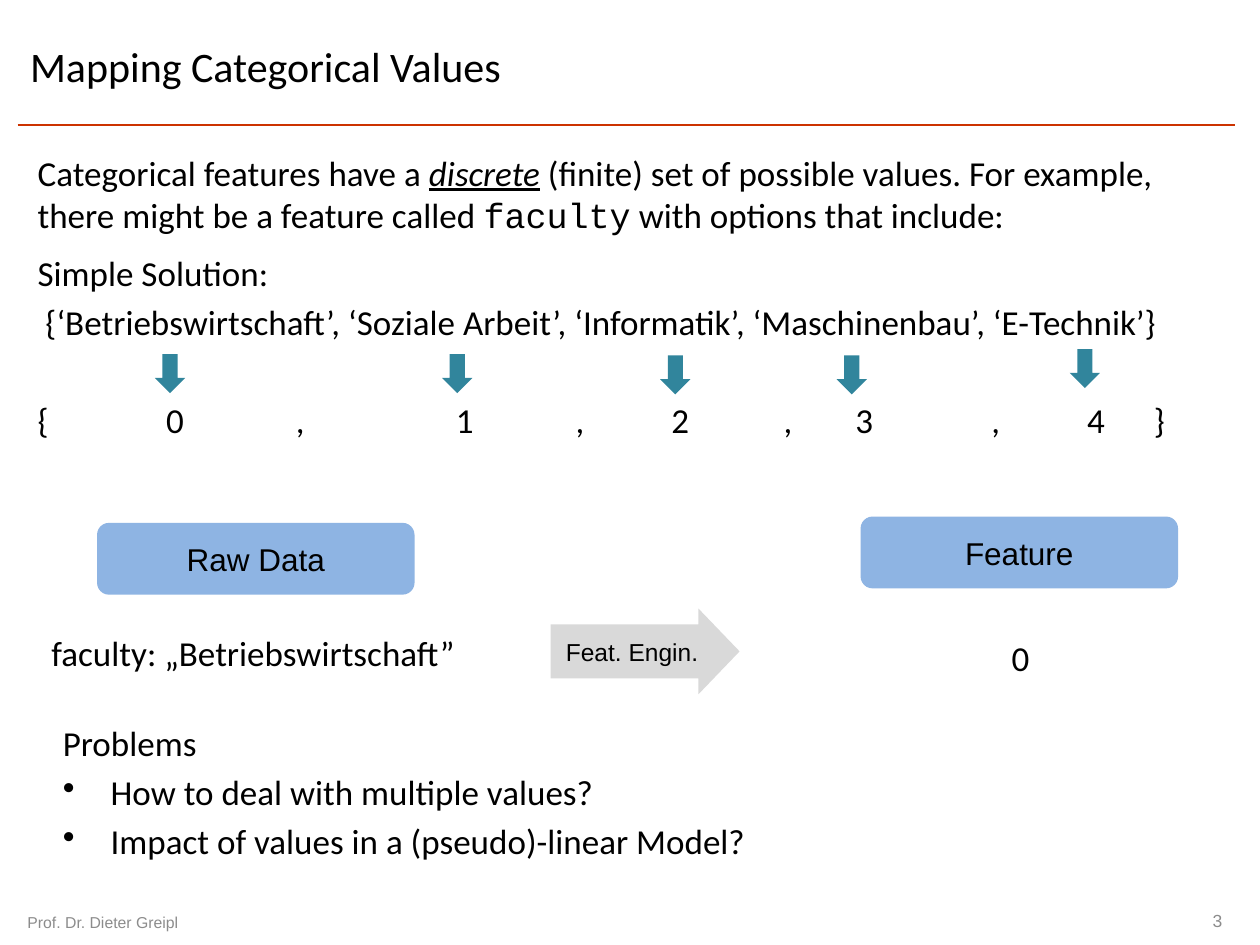
import collections

import lxml.etree
import pptx
import pptx.dml.color
import pptx.enum.shapes
import pptx.enum.text
import pptx.oxml.ns
import pptx.util

COLORS = {
    "text": "000000",
    "rule": "CC3300",
    "footer": "8C8C8C",
    "arrow": "31859C",
    "card": "8EB4E3",
    "process": "D9D9D9",
}
COLUMNS, ROWS = 100, 75
CELL = pptx.util.Inches(0.1)
SHAPES = pptx.enum.shapes.MSO_SHAPE
ALIGN = pptx.enum.text.PP_ALIGN
ANCHOR = pptx.enum.text.MSO_ANCHOR
Box = collections.namedtuple("Box", "left top width height")


def inside(box, left, top, width, height):
    return Box(box.left + left, box.top + top, width, height)


def lengths(box):
    return [round(value * CELL) for value in box]


def color(name):
    return pptx.dml.color.RGBColor.from_string(COLORS[name])


def add_xml(parent, tag, **attributes):
    return lxml.etree.SubElement(parent, pptx.oxml.ns.qn(tag), attributes)


def style(paragraph, size=20, font="Calibri", ink="text", align=ALIGN.LEFT):
    paragraph.alignment = align
    paragraph.font.size = pptx.util.Pt(size)
    paragraph.font.name = font
    paragraph.font.color.rgb = color(ink)


def add_text(slide, box, lines, anchor=ANCHOR.TOP, before=4, **look):
    frame = slide.shapes.add_textbox(*lengths(box)).text_frame
    frame.word_wrap = True
    frame.vertical_anchor = anchor
    for index, line in enumerate(lines):
        paragraph = frame.add_paragraph() if index else frame.paragraphs[0]
        paragraph.text = line
        paragraph.space_before = pptx.util.Pt(before)
        style(paragraph, **look)
    return frame


def add_block(slide, box, kind, fill, text="", size=18):
    shape = slide.shapes.add_shape(kind, *lengths(box))
    shape.shadow.inherit = False
    shape.fill.solid()
    shape.fill.fore_color.rgb = color(fill)
    shape.line.fill.background()
    if text:
        shape.text_frame.vertical_anchor = ANCHOR.MIDDLE
        paragraph = shape.text_frame.paragraphs[0]
        paragraph.text = text
        style(paragraph, size, "Arial", align=ALIGN.CENTER)
    return shape


def set_tabs(paragraph, stops):
    properties = paragraph._p.get_or_add_pPr()
    tabs = lxml.etree.Element(pptx.oxml.ns.qn("a:tabLst"))
    for stop in stops:
        add_xml(tabs, "a:tab", pos=str(round(stop * CELL)), algn="l")
    properties.find(pptx.oxml.ns.qn("a:defRPr")).addprevious(tabs)


def set_bullet(paragraph, indent):
    properties = paragraph._p.get_or_add_pPr()
    offset = round(indent * CELL)
    properties.set("marL", str(offset))
    properties.set("indent", str(-offset))
    bullet = lxml.etree.Element(pptx.oxml.ns.qn("a:buChar"), char="•")
    properties.find(pptx.oxml.ns.qn("a:defRPr")).addprevious(bullet)


def add_header(slide, box):
    bottom = box.top + box.height
    ends = lengths((box.left, bottom, box.left + box.width, bottom))
    rule = slide.shapes.add_connector(
        pptx.enum.shapes.MSO_CONNECTOR.STRAIGHT, *ends)
    rule.line.color.rgb = color("rule")
    rule.line.width = pptx.util.Pt(1)
    add_xml(rule._element.spPr, "a:effectLst")
    add_text(slide, box, ["Mapping Categorical Values"],
             ANCHOR.MIDDLE, before=0, size=24)


def add_footer(slide, box):
    look = dict(anchor=ANCHOR.MIDDLE, before=0, font="Arial", ink="footer")
    add_text(slide, inside(box, 0, 0, 23.6, 3.2),
             ["Prof. Dr. Dieter Greipl"], size=9, **look)
    add_text(slide, inside(box, box.width - 23.3, 0, 23.3, 3), ["3"],
             size=10, align=ALIGN.RIGHT, **look)


def add_introduction(slide, box):
    paragraph = add_text(slide, box, [""]).paragraphs[0]
    parts = [
        ("Categorical features have a ", {}),
        ("discrete", {"italic": True, "underline": True}),
        (" (finite) set of possible values. For example, "
         "there might be a feature called ", {}),
        ("faculty", {"name": "Courier New"}),
        (" with options that include:", {}),
    ]
    for text, changes in parts:
        run = paragraph.add_run()
        run.text = text
        for attribute, value in changes.items():
            setattr(run.font, attribute, value)


def add_mapping(slide, box):
    frame = add_text(slide, box, [
        "Simple Solution:",
        " {‘Betriebswirtschaft’, ‘Soziale Arbeit’, ‘Informatik’, "
        "‘Maschinenbau’, ‘E-Technik’}",
        "\t".join("{0,1,2,3,4}"),
    ])
    codes = frame.paragraphs[-1]
    codes.space_before = pptx.util.Pt(32)
    set_tabs(codes, [10.2, 20.5, 33.2, 42.7, 50.3, 59.2, 64.9, 75.7, 83.3, 88.6])
    for left, top in [(10.3, 8.6), (33.1, 8.6), (50.4, 8.7), (64.4, 8.7), (82.9, 8.2)]:
        add_block(slide, inside(box, left, top, 2.4, 3.1),
                  SHAPES.DOWN_ARROW, "arrow")


def add_example(slide, box):
    for left, top, label in [(4.6, 0.5, "Raw Data"), (65.2, 0, "Feature")]:
        add_block(slide, inside(box, left, top, 25.2, 5.7),
                  SHAPES.ROUNDED_RECTANGLE, "card", label)
    add_text(slide, inside(box, 0, 8.6, 39.4, 4.2),
             ["faculty: „Betriebswirtschaft”"])
    process = add_block(slide, inside(box, 40.6, 7.3, 15, 6.8),
                        SHAPES.RIGHT_ARROW, "process", "Feat. Engin.", 14)
    process.adjustments[0] = 0.63
    process.adjustments[1] = 0.48
    process.text_frame.word_wrap = False
    add_text(slide, inside(box, 76.2, 9, 3.3, 4.2), ["0"])


def add_problems(slide, box):
    frame = add_text(slide, box, [
        "Problems",
        "How to deal with multiple values?",
        "Impact of values in a (pseudo)-linear Model?",
    ])
    for paragraph in frame.paragraphs[1:]:
        set_bullet(paragraph, 3.8)


def main():
    presentation = pptx.Presentation()
    presentation.slide_width = COLUMNS * CELL
    presentation.slide_height = ROWS * CELL
    slide = presentation.slides.add_slide(presentation.slide_layouts[6])
    add_header(slide, Box(1.4, 0.6, 96.6, 9.3))
    add_footer(slide, Box(1.2, 71.6, 96.8, 3.2))
    add_introduction(slide, Box(2, 11.5, 96.1, 10.1))
    add_mapping(slide, Box(2, 19.5, 96.1, 18.3))
    add_example(slide, Box(3.1, 41, 90.4, 14.1))
    add_problems(slide, Box(4, 56.8, 96, 13.4))
    presentation.save("out.pptx")


if __name__ == "__main__":
    main()
